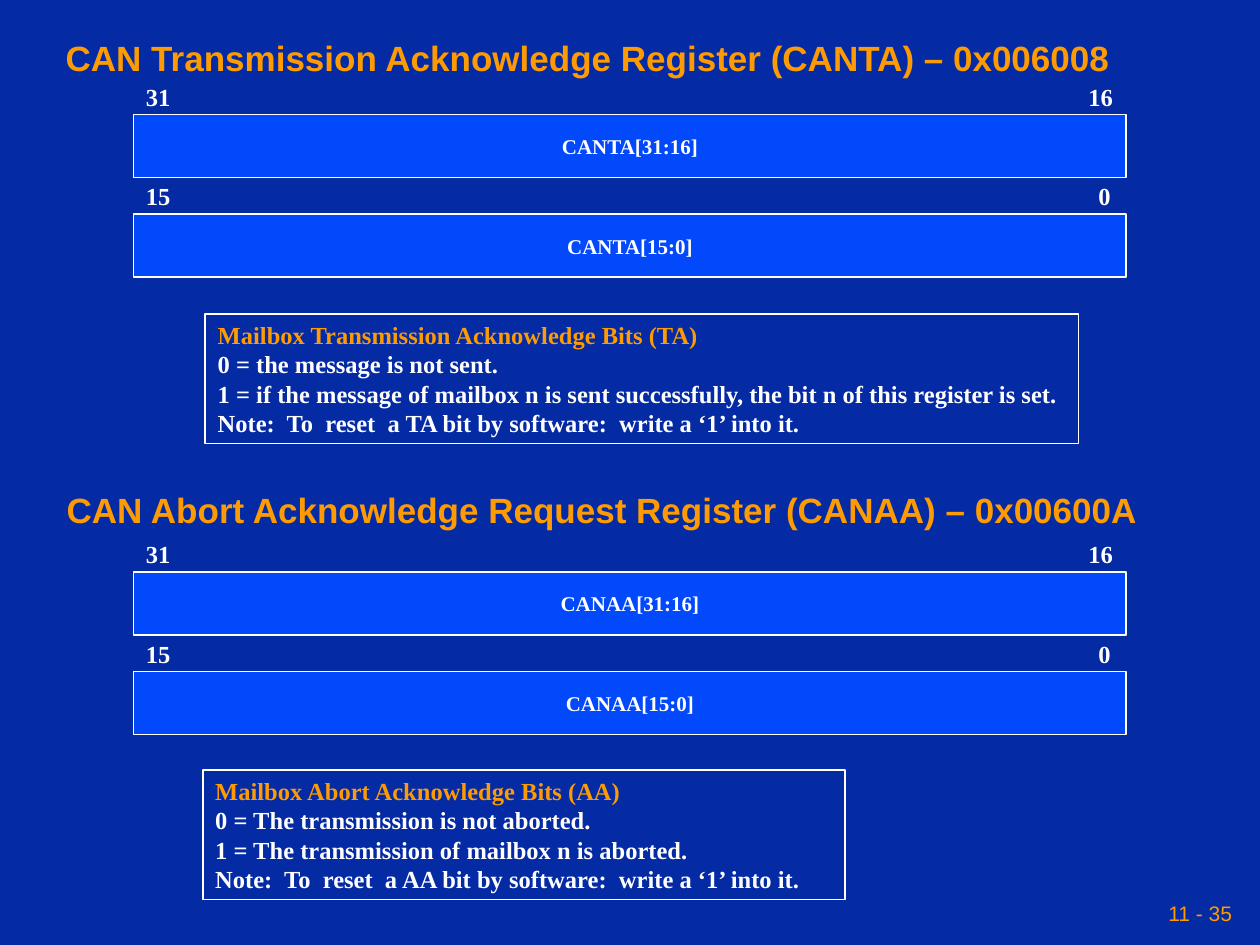
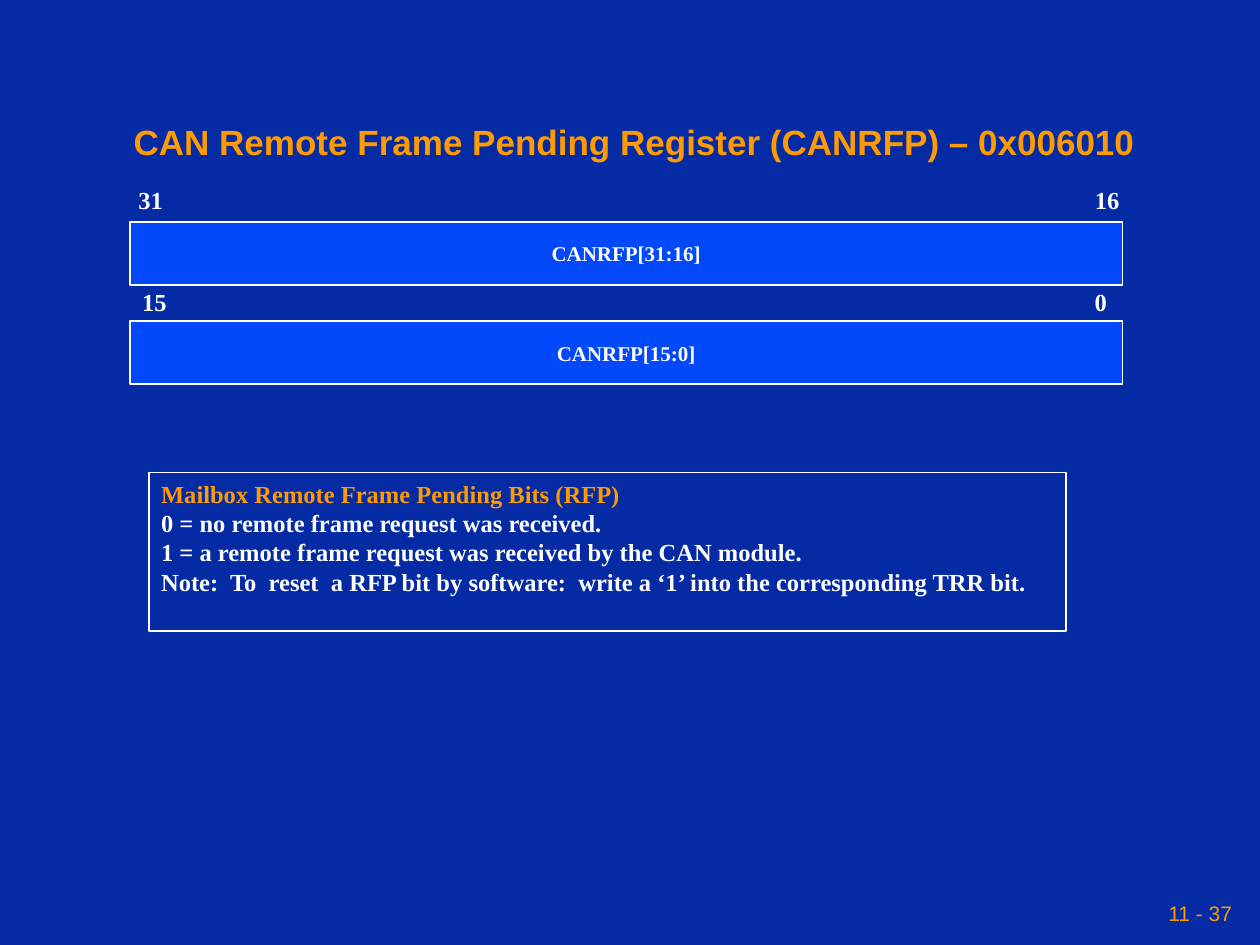
from dataclasses import dataclass

import pptx
import pptx.dml.color
import pptx.enum.shapes
import pptx.enum.text
import pptx.util

Inches = pptx.util.Inches
Pt = pptx.util.Pt
ALIGN = pptx.enum.text.PP_ALIGN
ANCHOR = pptx.enum.text.MSO_ANCHOR
RECT = pptx.enum.shapes.MSO_SHAPE.RECTANGLE

COLORS = {"back": "042AA4", "field": "0249FC", "accent": "FE9B03", "text": "FFFFFF"}
SANS, SERIF = "Arial", "Times New Roman"
TITLE_ONLY = 5
ROW_STEP, ROW_WIDE, ROW_HIGH = 0.79, 7.88, 0.5


@dataclass
class Box:
    left: float
    top: float
    width: float
    height: float

    def lengths(self) -> tuple:
        return tuple(map(Inches, (self.left, self.top, self.width, self.height)))


@dataclass
class Row:
    """One half of a register; the label places are relative to its bar."""
    high: int
    low: int
    first: float = 0
    last: float = 7.48
    rise: float = 0.32


@dataclass
class Register:
    name: str
    title: str
    head: Box
    left: float
    top: float
    note: Box
    lines: list[str]
    rows: tuple[Row, Row] = (Row(31, 16, rise=0.31), Row(15, 0, last=7.56, rise=0.31))


@dataclass
class Page:
    number: str
    registers: list[Register]


PAGES = [
    Page("11 - 35", [
        Register(
            "CANTA", "CAN Transmission Acknowledge Register (CANTA) – 0x006008",
            Box(0.42, 0.24, 8.8, 0.43), 1.06, 0.91, Box(1.63, 2.49, 6.93, 1.03),
            ["Mailbox Transmission Acknowledge Bits (TA)",
             "0 = the message is not sent.",
             "1 = if the message of mailbox n is sent successfully, "
             "the bit n of this register is set.",
             "Note:  To  reset  a TA bit by software:  write a ‘1’ into it."]),
        Register(
            "CANAA", "CAN Abort Acknowledge Request Register (CANAA) – 0x00600A",
            Box(0.43, 3.83, 8.72, 0.43), 1.06, 4.54, Box(1.61, 6.11, 5.1, 1.03),
            ["Mailbox Abort Acknowledge Bits (AA)",
             "0 = The transmission is not aborted.",
             "1 = The transmission of mailbox n is aborted.",
             "Note:  To  reset  a AA bit by software:  write a ‘1’ into it."]),
    ]),
    Page("11 - 37", [
        Register(
            "CANRFP", "CAN Remote Frame Pending Register (CANRFP) – 0x006010",
            Box(0.96, 0.91, 8.5, 0.43), 1.03, 1.76, Box(1.18, 3.75, 7.28, 1.26),
            ["Mailbox Remote Frame Pending Bits (RFP)",
             "0 = no remote frame request was received.",
             "1 = a remote frame request was received by the CAN module.",
             "Note:  To  reset  a RFP bit by software:  "
             "write a ‘1’ into the corresponding TRR bit."],
            (Row(31, 16, -0.03, 7.56, 0.34), Row(15, 0, last=7.56))),
    ]),
]


def paint(color: str) -> pptx.dml.color.RGBColor:
    return pptx.dml.color.RGBColor.from_string(COLORS[color])


def write(shape, lines: list[str], font: str, size: int, color: str = "text",
          bold: bool = True, align=ALIGN.LEFT, anchor=ANCHOR.TOP, inset: float = 0.1) -> None:
    frame = shape.text_frame
    frame.text = "\n".join(lines)
    frame.word_wrap = False
    frame.auto_size = pptx.enum.text.MSO_AUTO_SIZE.NONE
    frame.vertical_anchor = anchor
    frame.margin_left = frame.margin_right = Inches(inset)
    frame.margin_top = frame.margin_bottom = Inches(0.05)
    for para in frame.paragraphs:
        para.alignment = align
        para.line_spacing = 1.0
        para.space_before = Pt(0)
        for run in para.runs:
            run.font.name = font
            run.font.size = Pt(size)
            run.font.bold = bold
            run.font.color.rgb = paint(color)


def add_text(slide, box: Box, text: str, font: str, size: int, **style) -> None:
    write(slide.shapes.add_textbox(*box.lengths()), [text], font, size, **style)


def add_rect(slide, box: Box):
    """Add a white-edged rectangle without fill."""
    rect = slide.shapes.add_shape(RECT, *box.lengths())
    rect.shadow.inherit = False
    rect.fill.background()
    rect.line.color.rgb = paint("text")
    rect.line.width = Pt(1)
    return rect


def add_row(slide, reg: Register, row: Row, top: float) -> None:
    """Add one register bar with its bit numbers above."""
    for bit, shift in ((row.high, row.first), (row.low, row.last)):
        width = 0.39 if bit > 9 else 0.3
        box = Box(reg.left + shift, top - row.rise, width, 0.34)
        add_text(slide, box, str(bit), SERIF, 14)
    bar = add_rect(slide, Box(reg.left, top, ROW_WIDE, ROW_HIGH))
    bar.fill.solid()
    bar.fill.fore_color.rgb = paint("field")
    write(bar, [f"{reg.name}[{row.high}:{row.low}]"], SERIF, 12,
          align=ALIGN.CENTER, anchor=ANCHOR.MIDDLE)


def add_register(slide, reg: Register) -> None:
    for i, row in enumerate(reg.rows):
        add_row(slide, reg, row, reg.top + i * ROW_STEP)
    note = add_rect(slide, reg.note)
    write(note, reg.lines, SERIF, 14)
    note.text_frame.paragraphs[0].runs[0].font.color.rgb = paint("accent")


def add_page(prs, page: Page) -> None:
    slide = prs.slides.add_slide(prs.slide_layouts[TITLE_ONLY])
    add_text(slide, Box(6.83, 7.08, 3, 0.33), page.number, SANS, 12, color="accent",
             bold=False, align=ALIGN.RIGHT, anchor=ANCHOR.MIDDLE, inset=0.05)
    main_reg, *others = page.registers
    title = slide.shapes.title
    title.left, title.top, title.width, title.height = main_reg.head.lengths()
    write(title, [main_reg.title], SANS, 20, color="accent")
    for reg in others:
        add_text(slide, reg.head, reg.title, SANS, 20, color="accent")
    for reg in page.registers:
        add_register(slide, reg)


def main() -> None:
    prs = pptx.Presentation()
    prs.slide_width, prs.slide_height = Inches(10), Inches(7.5)
    fill = prs.slide_master.background.fill
    fill.solid()
    fill.fore_color.rgb = paint("back")
    for page in PAGES:
        add_page(prs, page)
    prs.save("out.pptx")


if __name__ == "__main__":
    main()
